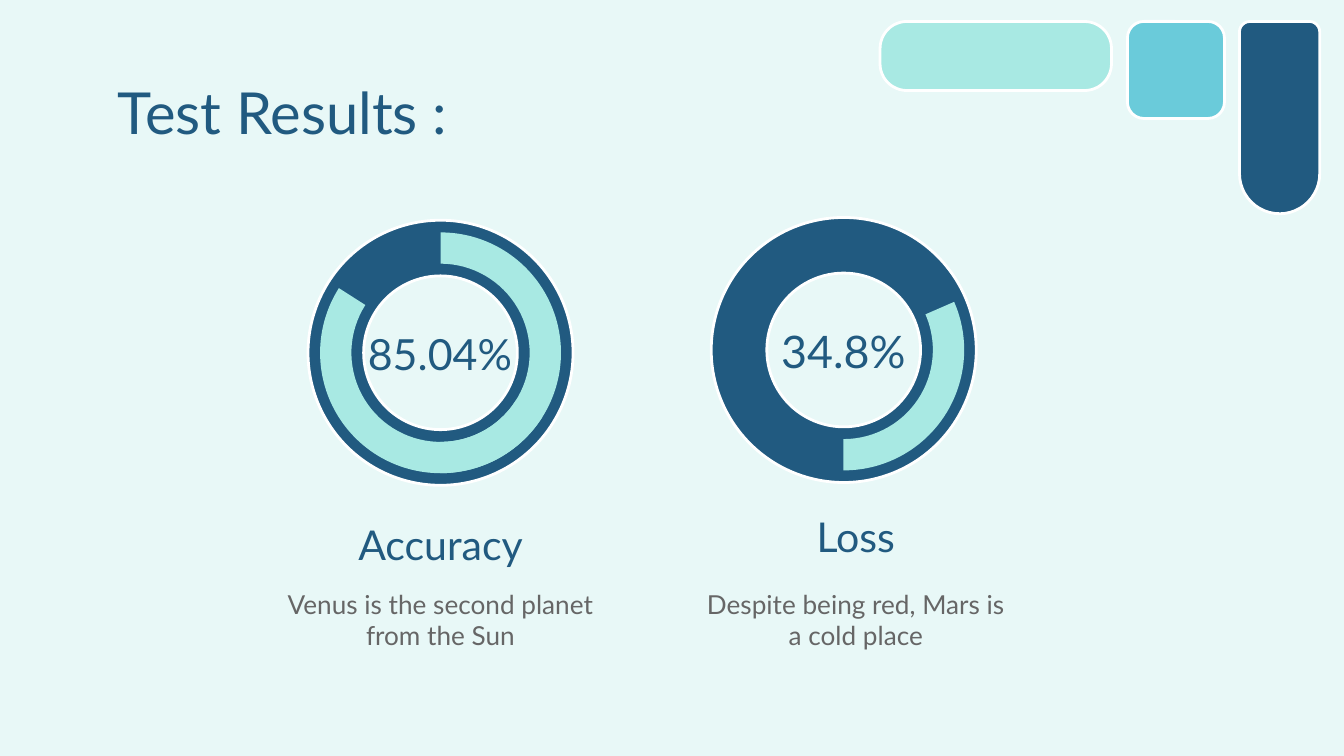
import pptx
import pptx.dml.color
import pptx.enum.shapes
import pptx.enum.text
import pptx.util
from lxml import etree

Pt = pptx.util.Pt
SHAPE = pptx.enum.shapes.MSO_SHAPE
ALIGN = pptx.enum.text.PP_ALIGN
ANCHOR = pptx.enum.text.MSO_ANCHOR

NAVY, MINT, SKY = "215A80", "A8E9E3", "6ACBDA"
WHITE, GRAY, BACKGROUND = "FFFFFF", "666666", "E8F8F7"
RING_SIZE, ARC_SIZE = 142, 129


def color(hex_value):
    return pptx.dml.color.RGBColor.from_string(hex_value)


def place(shape, left, top, width, height):
    shape.left, shape.top = Pt(left), Pt(top)
    shape.width, shape.height = Pt(width), Pt(height)


def write(shape, text, size, text_color=NAVY, align=ALIGN.CENTER, anchor=ANCHOR.TOP):
    """Set one plain paragraph, free of inherited bullets, indents and spacing."""
    frame = shape.text_frame
    frame.text = text
    frame.word_wrap = True
    frame.auto_size = pptx.enum.text.MSO_AUTO_SIZE.NONE
    frame.vertical_anchor = anchor
    frame.margin_left = frame.margin_right = Pt(7.2)
    frame.margin_top = frame.margin_bottom = Pt(7.2)
    para = frame.paragraphs[0]
    para.alignment = align
    para.space_before = Pt(0)
    properties = para._p.get_or_add_pPr()
    properties.set("marL", "0")
    properties.set("indent", "0")
    etree.SubElement(properties, pptx.oxml.ns.qn("a:buNone"))
    font = para.runs[0].font
    font.name, font.size, font.bold = "Lato", Pt(size), False
    font.color.rgb = color(text_color)


def add_filled(slide, kind, box, fill, adjustments, rotation=0, outlined=True):
    left, top, width, height = box
    shape = slide.shapes.add_shape(kind, Pt(left), Pt(top), Pt(width), Pt(height))
    for index, value in enumerate(adjustments):
        shape.adjustments[index] = value
    shape.rotation = rotation
    shape.shadow.inherit = False
    shape.fill.solid()
    shape.fill.fore_color.rgb = color(fill)
    if outlined:
        shape.line.color.rgb = color(WHITE)
        shape.line.width = Pt(1.5)
    else:
        shape.line.fill.background()


def add_gauge(slide, center, top, value, size, arcs):
    """Draw a ring with its value; arcs holds (start angle, rotation) pairs."""
    ring = (center - RING_SIZE / 2, top, RING_SIZE, RING_SIZE)
    add_filled(slide, SHAPE.DONUT, ring, NAVY, [0.21])
    inset = (RING_SIZE - ARC_SIZE) / 2
    arc = (center - ARC_SIZE / 2, top + inset, ARC_SIZE, ARC_SIZE)
    for start, rotation in arcs:
        add_filled(slide, SHAPE.BLOCK_ARC, arc, MINT, [start, 0.1, 0.13], rotation, False)
    label = slide.shapes.add_textbox(Pt(center - 52), Pt(top + 46), Pt(103.5), Pt(50.5))
    write(label, value, size, anchor=ANCHOR.MIDDLE)


def fill_caption(heading, description, center, heading_top, name, text):
    place(heading, center - 89, heading_top, 178, 32.5)
    write(heading, name, 22)
    place(description, center - 90, 308, 180, 44.5)
    write(description, text, 14, GRAY)


def add_corner_blocks(slide):
    top = 11.5
    add_filled(slide, SHAPE.ROUNDED_RECTANGLE, (471.5, top, 124, 37), MINT, [0.39])
    add_filled(slide, SHAPE.ROUNDED_RECTANGLE, (604, top, 52, 52), SKY, [0.17])
    add_filled(slide, SHAPE.ROUND_2_SAME_RECTANGLE, (664, top, 43, 103), NAVY, [0.5, 0.13], 180)


def main():
    deck = pptx.Presentation()
    deck.slide_width, deck.slide_height = Pt(720), Pt(405)
    slide = deck.slides.add_slide(deck.slide_layouts.get_by_name("Comparison"))
    slide.background.fill.solid()
    slide.background.fill.fore_color.rgb = color(BACKGROUND)

    title = slide.shapes.title
    place(title, 56, 34, 608, 36.5)
    write(title, "Test Results :", 31, align=ALIGN.LEFT)

    add_gauge(slide, 236, 118, "85.04%", 23, [(108, 90), (108, 212.3)])
    add_gauge(slide, 452, 116.5, "34.8%", 24, [(147.87, 90)])

    holders = slide.placeholders
    fill_caption(holders[1], holders[2], 236, 271, "Accuracy",
                 "Venus is the second planet from the Sun")
    fill_caption(holders[3], holders[4], 458.5, 267, "Loss",
                 "Despite being red, Mars is a cold place")
    add_corner_blocks(slide)
    deck.save("out.pptx")


if __name__ == "__main__":
    main()
